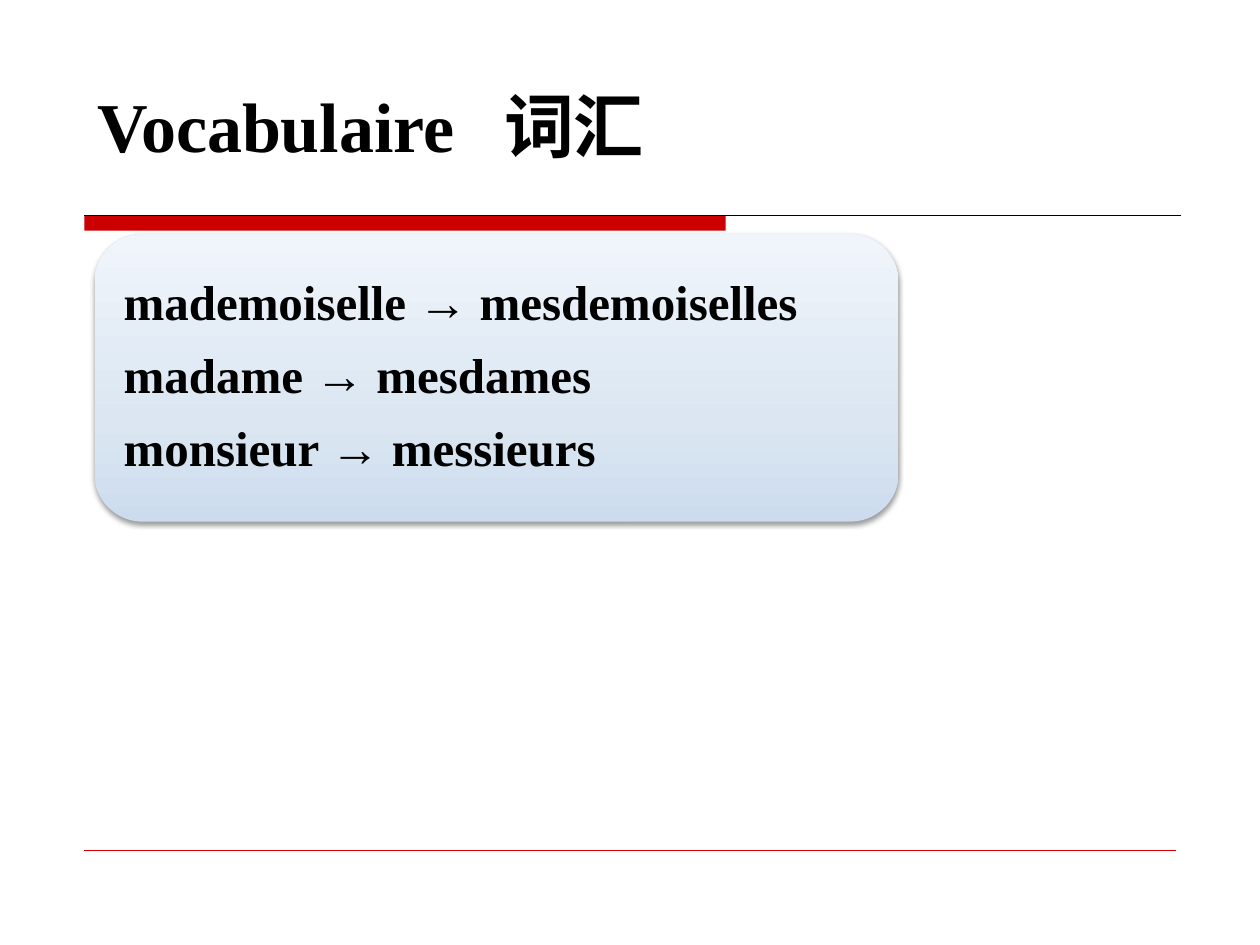
import copy
import lxml.etree
import pptx
import pptx.dml.color
import pptx.enum.shapes
import pptx.enum.text
import pptx.oxml
import pptx.oxml.ns
import pptx.util

FONT = "Times New Roman"
BLACK, RED = "000000", "CC0000"
TITLE = "Vocabulaire\t词汇"
PLURALS = [
    ("mademoiselle", "mesdemoiselles"),
    ("madame", "mesdames"),
    ("monsieur", "messieurs"),
]
GRADIENT = [(0, "CCDCEE"), (0.35, "DBE6F2"), (1, "F0F5FB")]
WIDTH, HEIGHT = 10, 7.5
LEFT, RULE_TOP = 0.67, 1.71
RULES = [
    (RULE_TOP, 9.37, BLACK, 0.75),
    (0.9 * HEIGHT, WIDTH - LEFT, RED, 0.25),
]

inch = pptx.util.Inches
qn = pptx.oxml.ns.qn


def rgb(value):
    return pptx.dml.color.RGBColor.from_string(value)


def style(p, size):
    p.alignment = pptx.enum.text.PP_ALIGN.LEFT
    p.font.name = FONT
    p.font.size = pptx.util.Pt(size)
    p.font.bold = True
    p.font.color.rgb = rgb(BLACK)


def set_margins(tf, x, y):
    tf.margin_left = tf.margin_right = inch(x)
    tf.margin_top = tf.margin_bottom = inch(y)
    tf.vertical_anchor = pptx.enum.text.MSO_ANCHOR.MIDDLE


def add_rule(s, y, right, color, weight):
    line = s.shapes.add_connector(
        pptx.enum.shapes.MSO_CONNECTOR.STRAIGHT,
        inch(LEFT), inch(y), inch(right), inch(y))
    line.line.color.rgb = rgb(color)
    line.line.width = pptx.util.Pt(weight)
    lxml.etree.SubElement(line._element.spPr, qn("a:effectLst"))


def add_bar(s):
    bar = s.shapes.add_shape(
        pptx.enum.shapes.MSO_SHAPE.RECTANGLE,
        inch(LEFT), inch(RULE_TOP), inch(5.09), inch(0.12))
    bar.shadow.inherit = False
    bar.fill.solid()
    bar.fill.fore_color.rgb = rgb(RED)
    bar.line.fill.background()


def add_title(s):
    sp = s.shapes.title
    sp.left, sp.top, sp.width, sp.height = map(inch, (LEFT, 0.6, 7.8, 0.77))
    tf = sp.text_frame
    set_margins(tf, 0.1, 0.05)
    p = tf.paragraphs[0]
    p.text = TITLE
    tabs = lxml.etree.SubElement(p._p.get_or_add_pPr(), qn("a:tabLst"))
    lxml.etree.SubElement(tabs, qn("a:tab"), pos=str(inch(3.23)), algn="l")
    style(p, 40)


def fill_gradient(sp):
    sp.fill.gradient()
    sp.fill.gradient_angle = 90
    stops = sp._element.spPr.find(".//" + qn("a:gsLst"))
    stops.append(copy.deepcopy(stops[0]))
    for stop, (position, color) in zip(sp.fill.gradient_stops, GRADIENT):
        stop.position = position
        stop.color.rgb = rgb(color)


def add_shadow(sp):
    sp.shadow.inherit = False
    effects = sp._element.spPr.find(qn("a:effectLst"))
    shadow = lxml.etree.SubElement(
        effects, qn("a:outerShdw"), blurRad=str(pptx.util.Pt(3.1)),
        dist=str(pptx.util.Pt(1.6)), dir="5400000", rotWithShape="0")
    color = lxml.etree.SubElement(shadow, qn("a:srgbClr"), val=BLACK)
    lxml.etree.SubElement(color, qn("a:alpha"), val="38000")


def add_plurals(s):
    sp = s.shapes.add_shape(
        pptx.enum.shapes.MSO_SHAPE.ROUNDED_RECTANGLE,
        *map(inch, (0.75, 1.86, 6.38, 2.28)))
    fill_gradient(sp)
    sp.line.fill.background()
    add_shadow(sp)
    tf = sp.text_frame
    tf.word_wrap = True
    set_margins(tf, 0.12, 0.12)
    tf.text = "\n".join(f"{one} → {many}" for one, many in PLURALS)
    for p in tf.paragraphs:
        p.line_spacing = 0.9
        p.space_after = pptx.util.Pt(11.5)
        style(p, 28)


def main():
    prs = pptx.Presentation()
    prs.slide_width, prs.slide_height = inch(WIDTH), inch(HEIGHT)
    s = prs.slides.add_slide(prs.slide_layouts[5])
    add_bar(s)
    for rule in RULES:
        add_rule(s, *rule)
    add_title(s)
    add_plurals(s)
    prs.save("out.pptx")


if __name__ == "__main__":
    main()
